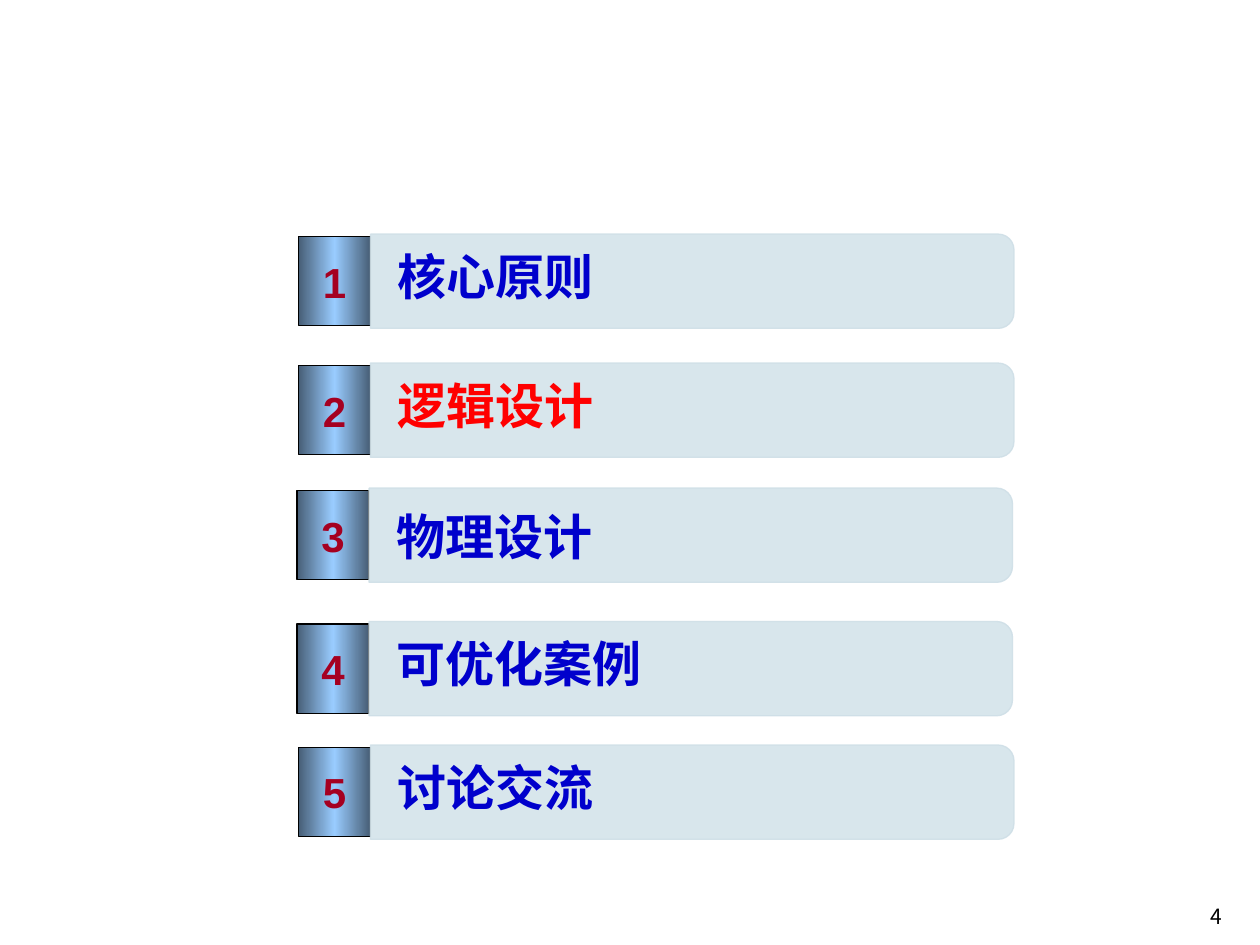
from copy import deepcopy

from lxml import etree
from pptx import Presentation
from pptx.dml.color import RGBColor
from pptx.enum.shapes import MSO_SHAPE
from pptx.enum.text import MSO_ANCHOR, PP_ALIGN
from pptx.oxml.ns import qn
from pptx.util import Cm, Pt

RECT = MSO_SHAPE.RECTANGLE
TAB = MSO_SHAPE.ROUND_2_SAME_RECTANGLE
MIDDLE = MSO_ANCHOR.MIDDLE
CENTER = PP_ALIGN.CENTER

BLACK = RGBColor(0x00, 0x00, 0x00)
STEEL = RGBColor(0x47, 0x5E, 0x76)
SKY = RGBColor(0x99, 0xCC, 0xFF)
PALE = RGBColor(0xD4, 0xE4, 0xEB)
EDGE = RGBColor(0xCF, 0xDF, 0xE7)
WINE = RGBColor(0xA5, 0x00, 0x21)
BLUE = RGBColor(0x00, 0x00, 0xCC)
RED = RGBColor(0xFF, 0x00, 0x00)

LATIN = "Arial"
HAN = "Noto Sans CJK SC"
DIGIT = {"size": Pt(24), "name": LATIN, "bold": True}
LABEL = {"size": Pt(28), "name": LATIN, "bold": True}
PAGE = {"size": Pt(12), "name": HAN}

# Label, left, top, text drop and text colour of each row, lengths in cm
ROWS = [
    ("核心原则", 6.02, 4.72, 0.12, BLUE),
    ("逻辑设计", 6.02, 7.32, 0.12, RED),
    ("物理设计", 5.99, 9.84, 0.24, BLUE),
    ("可优化案例", 5.99, 12.53, 0.12, BLUE),
    ("讨论交流", 6.02, 15.02, 0.12, BLUE),
]
BAR_W, BAR_H = 12.97, 1.9


def write(shape, text, style, color, **frame):
    body = shape.text_frame
    for key, value in frame.items():
        setattr(body, key, value)
    run = body.paragraphs[0].add_run()
    run.text = text
    for key, value in style.items():
        setattr(run.font, key, value)
    run.font.color.rgb = color
    props = run.font._element
    etree.SubElement(props, qn("a:ea")).set("typeface", HAN)


def outline(shape, color):
    shape.shadow.inherit = False
    shape.line.color.rgb = color
    shape.line.width = Pt(0.75)


def shade(fill):
    """Horizontal gradient, dark at both sides and light in the middle."""
    fill.gradient()
    fill.gradient_angle = 0
    last = fill.gradient_stops[1]._gs
    last.addnext(deepcopy(last))
    for stop, place, color in zip(fill.gradient_stops, (0, 0.5, 1),
                                  (STEEL, SKY, STEEL)):
        stop.position = place
        stop.color.rgb = color


def add_row(slide, num, text, left, top, drop, color):
    shapes = slide.shapes.add_group_shape().shapes

    # Number badge
    badge = shapes.add_shape(RECT, Cm(left), Cm(top + 0.05), Cm(1.45), Cm(1.8))
    outline(badge, BLACK)
    shade(badge.fill)
    write(badge, str(num), DIGIT, WINE, word_wrap=False,
          vertical_anchor=MIDDLE)
    badge.text_frame.paragraphs[0].alignment = CENTER

    # Bar, turned so that its round corners face right
    shift = (BAR_W - BAR_H) / 2
    bar = shapes.add_shape(TAB, Cm(left + 1.45 + shift), Cm(top - shift),
                           Cm(BAR_H), Cm(BAR_W))
    bar.rotation = 90
    outline(bar, EDGE)
    bar.fill.solid()
    bar.fill.fore_color.rgb = PALE
    for tone in bar._element.spPr.iter(qn("a:srgbClr")):
        etree.SubElement(tone, qn("a:alpha")).set("val", "90000")

    # Label
    label = shapes.add_textbox(Cm(left + 1.75), Cm(top + drop),
                               Cm(11.76), Cm(1.55))
    write(label, text, LABEL, color, word_wrap=True)


def add_page(slide, num, left, top, width, height):
    box = slide.shapes.add_textbox(Cm(left), Cm(top), Cm(width), Cm(height))
    write(box, str(num), PAGE, BLACK, word_wrap=True, vertical_anchor=MIDDLE)


def main():
    deck = Presentation()
    deck.slide_width, deck.slide_height = Cm(25.4), Cm(19.05)
    slide = deck.slides.add_slide(deck.slide_layouts[6])
    for num, row in enumerate(ROWS, 1):
        add_row(slide, num, *row)
    add_page(slide, 4, 24.16, 17.96, 1.14, 1.02)
    deck.save("out.pptx")


if __name__ == "__main__":
    main()
